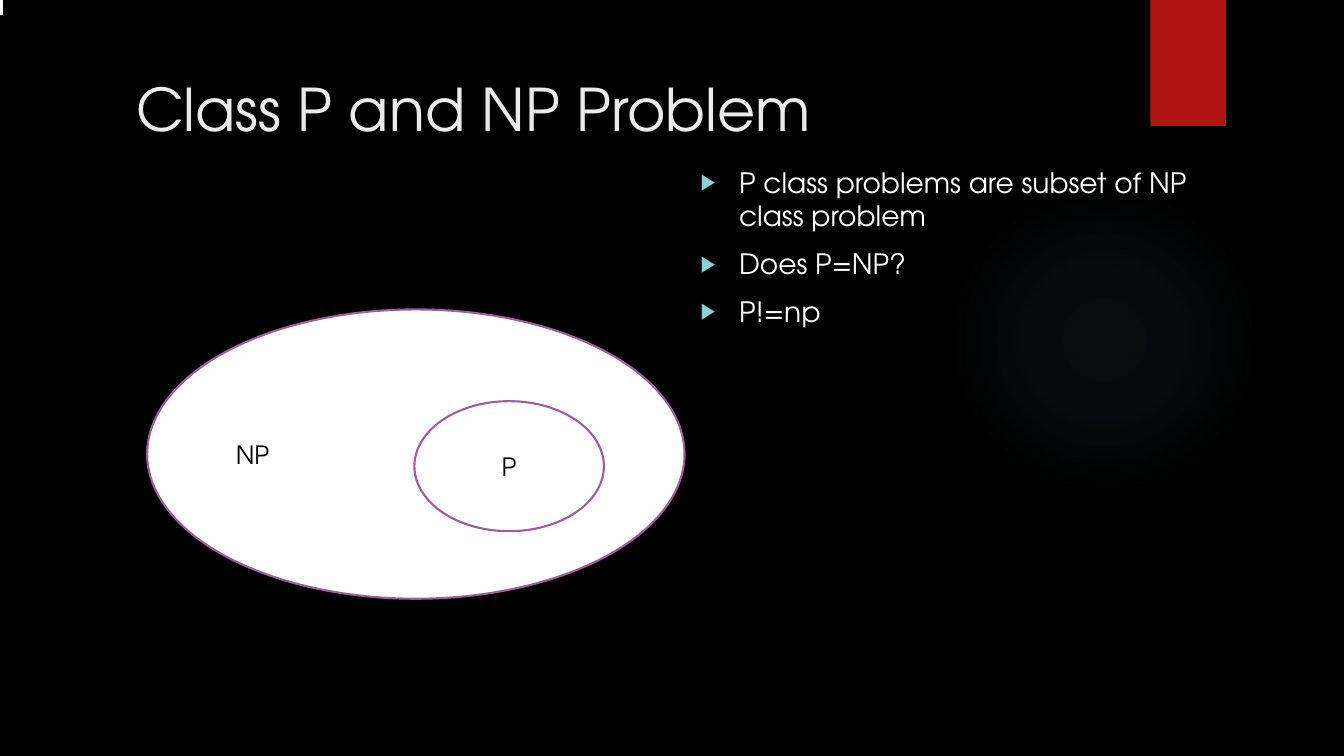
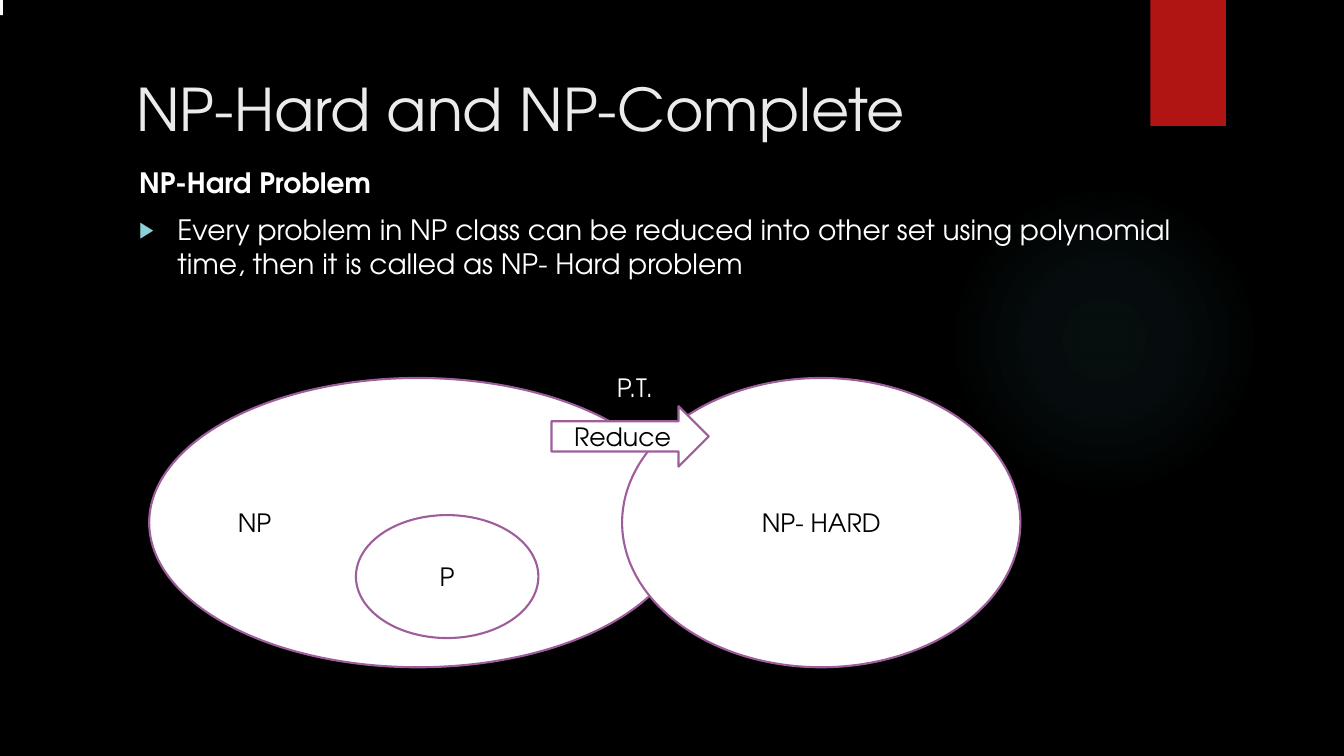
from lxml import etree
from pptx import Presentation
from pptx.dml.color import RGBColor
from pptx.enum.shapes import MSO_SHAPE as Shape
from pptx.enum.text import MSO_ANCHOR as Anchor, MSO_AUTO_SIZE as Fit, PP_ALIGN as Align
from pptx.oxml import parse_xml
from pptx.oxml.ns import nsdecls, qn
from pptx.util import Pt

EMU_PER_PX = 9144
FONT = "TeX Gyre Adventor"
COLORS = {
    "background": "000000",
    "ribbon": "B01513",
    "glow": "50B9C1",
    "title": "EBEBEB",
    "body": "FFFFFF",
    "bullet": "8AD0D6",
    "mark": "F9FAFC",
    "set_fill": "FFFFFF",
    "set_line": "9E5E9B",
    "set_text": "000000",
}
GLOW_STOPS = ((0, 7), (36, 6), (69, 0))


def px(*lengths):
    return [length * EMU_PER_PX for length in lengths]


def color(name):
    return RGBColor.from_string(COLORS[name])


def apply(target, values):
    for name, value in values.items():
        setattr(target, name, value)


class Deck:
    def __init__(self):
        self.file = Presentation()
        apply(self.file, dict(zip(("slide_width", "slide_height"), px(1333, 750))))
        self.layout = self.file.slide_layouts[1]
        background = self.file.slide_master.background.fill
        background.solid()
        background.fore_color.rgb = color("background")
        self.page = None

    def new_page(self, title):
        first = self.page is None
        self.page = self.file.slides.add_slide(self.layout)
        if first:
            self.decorate_layout()
        box = self.page.shapes.title
        self.place(box, 125, 68, 1083, 78)
        apply(box.text_frame, {"vertical_anchor": Anchor.MIDDLE})
        self.add_text(box.text_frame.paragraphs[0], title, 42, "title")

    def decorate_layout(self):
        glow = self.shape(Shape.OVAL, (941, 183, 308, 308), "glow")
        ribbon = self.shape(Shape.RECTANGLE, (1141, 0, 75, 125), "ribbon")
        stops = "".join(
            f'<a:gs pos="{position * 1000}"><a:srgbClr val="{COLORS["glow"]}">'
            f'<a:alpha val="{alpha * 1000}"/></a:srgbClr></a:gs>'
            for position, alpha in GLOW_STOPS
        )
        gradient = parse_xml(
            f'<a:gradFill {nsdecls("a")}><a:gsLst>{stops}</a:gsLst><a:path path="circle">'
            '<a:fillToRect l="50000" t="50000" r="50000" b="50000"/></a:path></a:gradFill>'
        )
        properties = glow._element.spPr
        properties.replace(properties.find(qn("a:solidFill")), gradient)
        for index, shape in enumerate((glow, ribbon), start=2):
            self.layout.shapes._spTree.insert(index, shape._element)

    def place(self, box, left, top, width, height):
        apply(box, dict(zip(("left", "top", "width", "height"), px(left, top, width, height))))
        apply(box.text_frame, {"word_wrap": True, "auto_size": Fit.NONE})

    def add_text(self, para, text, size, ink, align=Align.LEFT, bold=False):
        para.alignment = align
        span = para.add_run()
        span.text = text
        apply(span.font, {"name": FONT, "size": Pt(size), "bold": bold})
        span.font.color.rgb = color(ink)

    def body(self, left, width, bullets, heading=None):
        box = self.page.placeholders[1]
        self.place(box, left, 159, width, 525)
        apply(box.text_frame, {"vertical_anchor": Anchor.TOP})
        lines = ([heading] if heading else []) + bullets
        for index, text in enumerate(lines):
            para = box.text_frame.add_paragraph() if index else box.text_frame.paragraphs[0]
            self.add_text(para, text, 20, "body", bold=text == heading)
            para.space_before = Pt(10)
            self.bullet(para, text != heading)

    def bullet(self, para, shown):
        properties = para._p.get_or_add_pPr()
        indent = px(38)[0] if shown else 0
        properties.set("marL", str(indent))
        properties.set("indent", str(-indent))
        if not shown:
            etree.SubElement(properties, qn("a:buNone"))
            return
        tint = etree.SubElement(properties, qn("a:buClr"))
        etree.SubElement(tint, qn("a:srgbClr"), val=COLORS["bullet"])
        etree.SubElement(properties, qn("a:buSzPct"), val="80000")
        etree.SubElement(properties, qn("a:buFont"), typeface="Arial")
        etree.SubElement(properties, qn("a:buChar"), char="▶")

    def shape(self, kind, bounds, fill, line=None):
        shape = self.page.shapes.add_shape(kind, *px(*bounds))
        shape.shadow.inherit = False
        shape.fill.solid()
        shape.fill.fore_color.rgb = color(fill)
        if line:
            shape.line.color.rgb = color(line)
            shape.line.width = Pt(1.5)
        else:
            shape.line.fill.background()
        return shape

    def corner_mark(self):
        self.shape(Shape.RECTANGLE, (0, 0, 3, 15), "mark")

    def outlined(self, text, bounds, kind=Shape.OVAL, align=Align.CENTER):
        frame = self.shape(kind, bounds, "set_fill", "set_line").text_frame
        apply(frame, {"word_wrap": True, "vertical_anchor": Anchor.MIDDLE})
        self.add_text(frame.paragraphs[0], text, 18, "set_text", align)

    def label(self, text, bounds):
        box = self.page.shapes.add_textbox(*px(*bounds))
        apply(box.text_frame, {"word_wrap": True, "auto_size": Fit.SHAPE_TO_FIT_TEXT})
        self.add_text(box.text_frame.paragraphs[0], text, 18, "body")


def main():
    deck = Deck()

    deck.new_page("Class P and NP Problem")
    deck.body(685, 527, ["P class problems are subset of NP class problem", "Does P=NP?", "P!=np"])
    deck.corner_mark()
    deck.outlined("NP", (146, 307, 533, 287), align=Align.LEFT)
    deck.outlined("P", (411, 398, 188, 129))

    deck.new_page("NP-Hard and NP-Complete")
    deck.body(
        128,
        1083,
        [
            "Every problem in NP class can be reduced into other set using polynomial time, "
            "then it is called as NP- Hard problem"
        ],
        heading="NP-Hard Problem",
    )
    deck.corner_mark()
    deck.outlined("NP", (148, 375, 533, 287), align=Align.LEFT)
    deck.outlined("P", (353, 511, 181, 122))
    deck.outlined("NP- HARD", (617, 375, 395, 287))
    deck.outlined("Reduce", (547, 403, 156, 60), kind=Shape.RIGHT_ARROW)
    deck.label("P.T.", (602, 364, 65, 40))

    deck.file.save("out.pptx")


if __name__ == "__main__":
    main()
